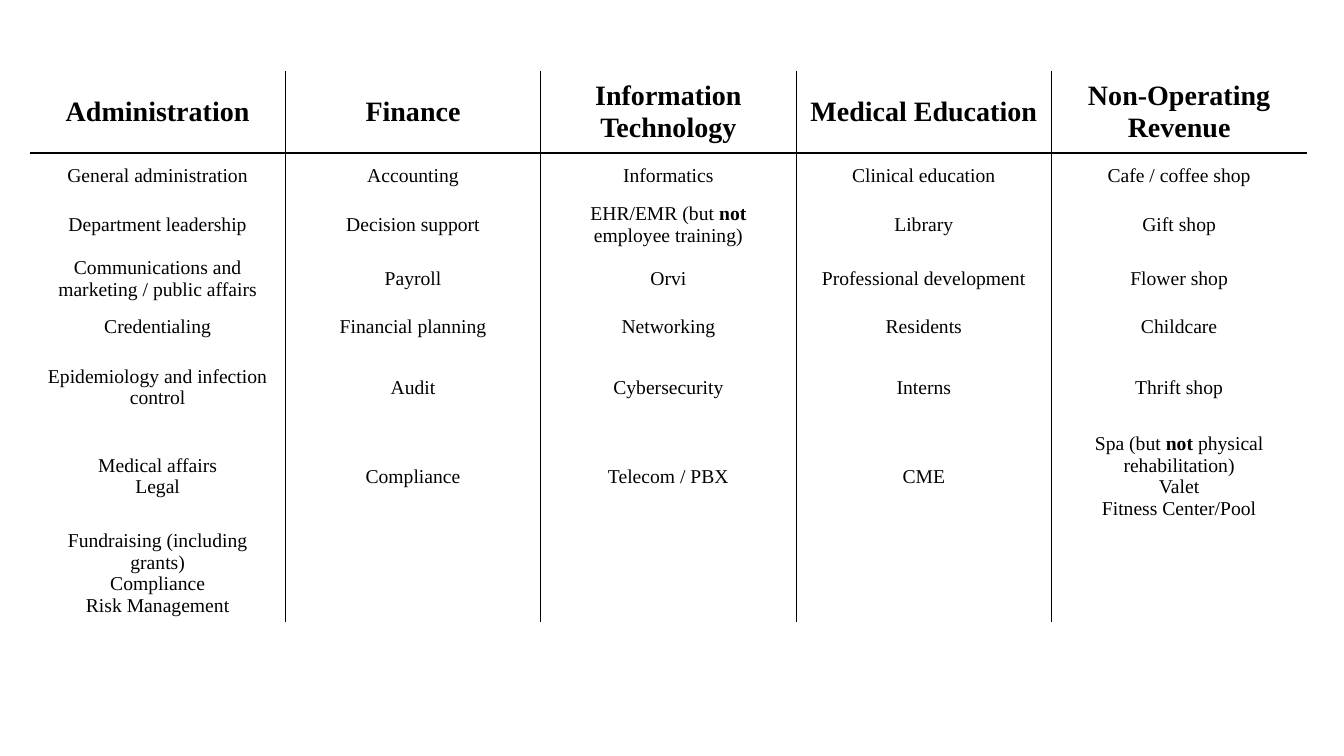
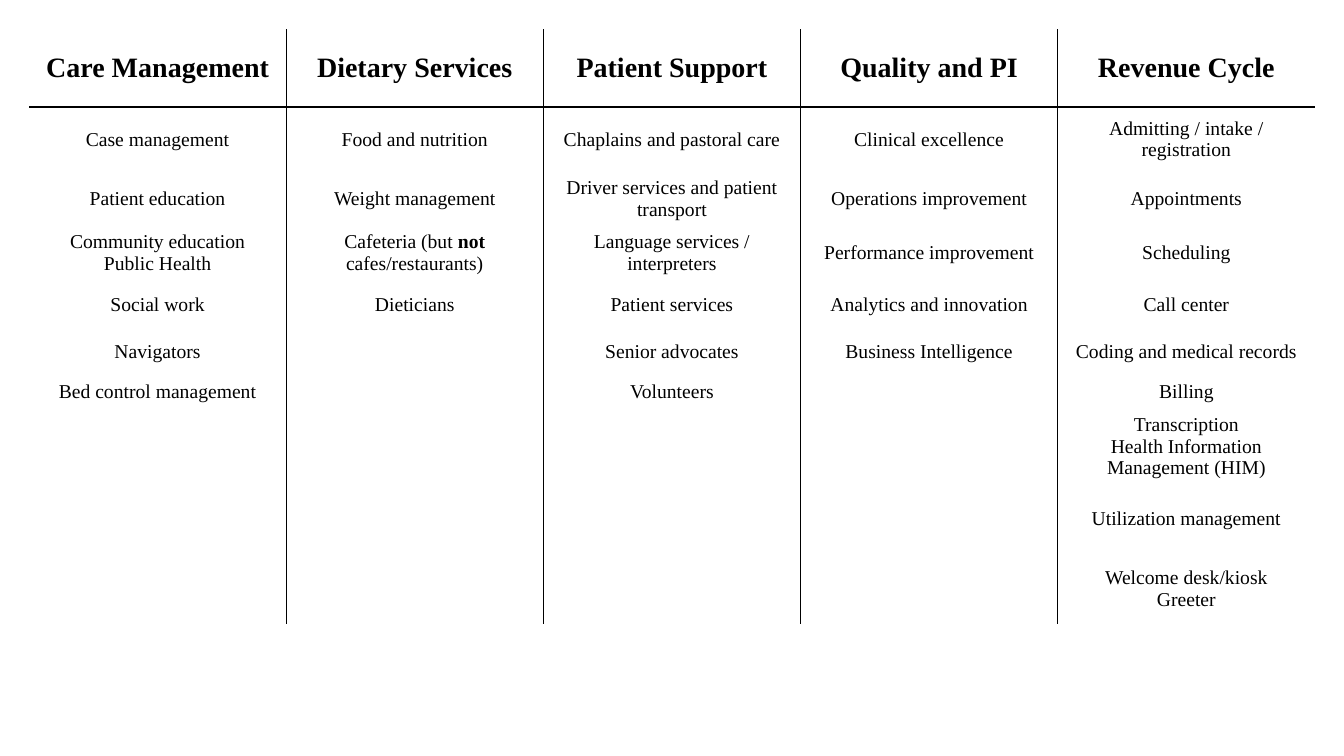
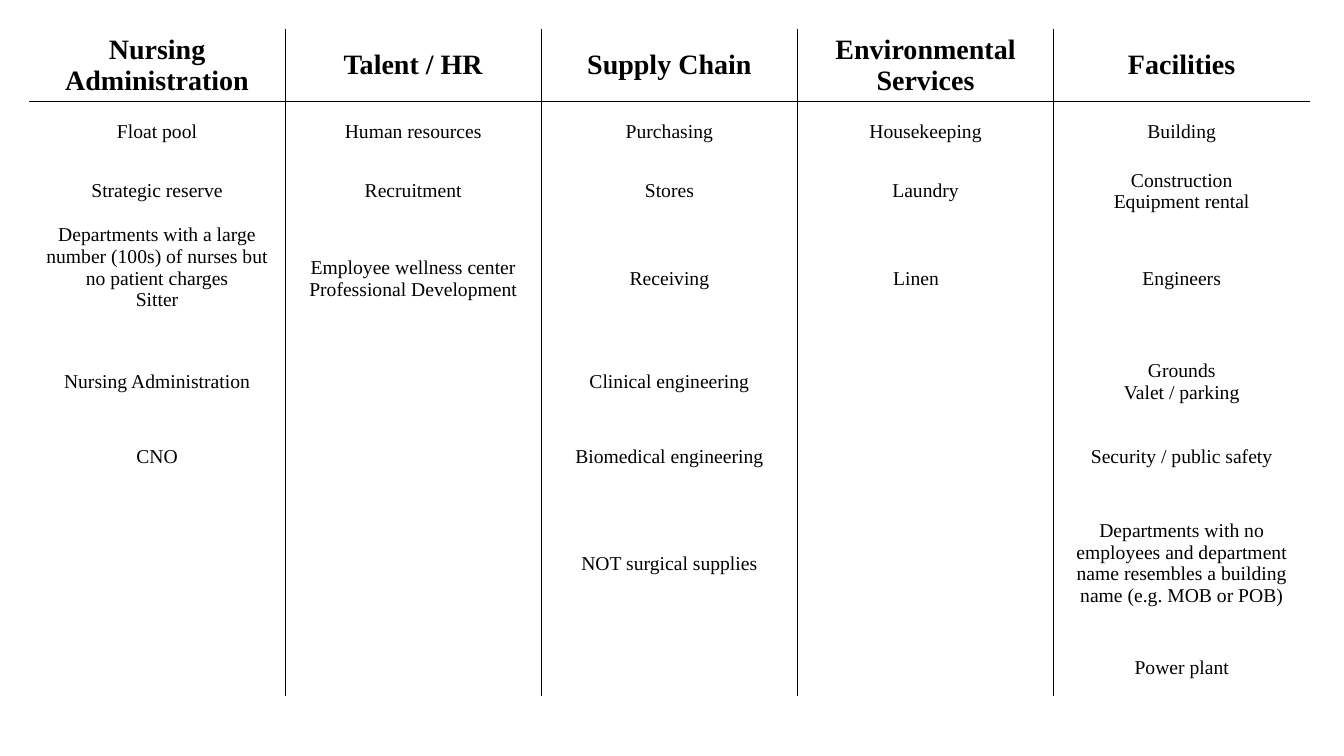
from dataclasses import dataclass
from itertools import zip_longest

from pptx import Presentation
from pptx.dml.color import RGBColor
from pptx.enum.text import MSO_ANCHOR, PP_ALIGN
from pptx.oxml.xmlchemy import OxmlElement
from pptx.util import Emu, Pt

SLIDE_SIZE = (1344, 756)
BLANK_LAYOUT = 6
NO_GRID_STYLE = "{2D5ABB26-0587-4C30-8999-92F81FD0307C}"


@dataclass(frozen=True)
class Theme:
    font: str = "Times New Roman"
    ink: str = "000000"
    heading_size: int = 20
    body_size: int = 14
    rule_width: int = 1


THEME = Theme()

# Columns map a heading to its entries; **...** marks bold, a newline starts a paragraph.
# Insets are extra cell margins in px, keyed by (row, column).
TABLES = [
    {
        "left": 30, "top": 71, "width": 1277,
        "row_heights": [82, 45, 54, 54, 41, 81, 97, 97],
        "columns": {
            "Administration": [
                "General administration", "Department leadership",
                "Communications and marketing / public affairs", "Credentialing",
                "Epidemiology and infection control", "Medical affairs\nLegal",
                "Fundraising (including grants)\nCompliance\nRisk Management",
            ],
            "Finance": [
                "Accounting", "Decision support", "Payroll", "Financial planning",
                "Audit", "Compliance",
            ],
            "Information Technology": [
                "Informatics", "EHR/EMR (but **not** employee training)", "Orvi",
                "Networking", "Cybersecurity", "Telecom / PBX",
            ],
            "Medical Education": [
                "Clinical education", "Library", "Professional development",
                "Residents", "Interns", "CME",
            ],
            "Non-Operating Revenue": [
                "Cafe / coffee shop", "Gift shop", "Flower shop", "Childcare", "Thrift shop",
                "Spa (but **not** physical rehabilitation)\nValet\nFitness Center/Pool",
            ],
        },
        "insets": {},
    },
    {
        "left": 29, "top": 29, "width": 1286,
        "row_heights": [78, 65, 54, 54, 50, 45, 32, 75, 70, 70],
        "columns": {
            "Care Management": [
                "Case management", "Patient education", "Community education\nPublic Health",
                "Social work", "Navigators", "Bed control management",
            ],
            "Dietary Services": [
                "Food and nutrition", "Weight management",
                "Cafeteria (but **not** cafes/restaurants)", "Dieticians",
            ],
            "Patient Support": [
                "Chaplains and pastoral care", "Driver services and patient transport",
                "Language services / interpreters", "Patient services",
                "Senior advocates", "Volunteers",
            ],
            "Quality and PI": [
                "Clinical excellence", "Operations improvement", "Performance improvement",
                "Analytics and innovation", "Business Intelligence",
            ],
            "Revenue Cycle": [
                "Admitting / intake / registration", "Appointments", "Scheduling",
                "Call center", "Coding and medical records", "Billing",
                "Transcription\nHealth Information Management (HIM)",
                "Utilization management", "Welcome desk/kiosk\nGreeter",
            ],
        },
        "insets": {},
    },
    {
        "left": 29, "top": 29, "width": 1281,
        "row_heights": [72, 62, 56, 118, 88, 61, 153, 56],
        "columns": {
            "Nursing Administration": [
                "Float pool", "Strategic reserve",
                "Departments with a large number (100s) of nurses but no patient charges\nSitter",
                "Nursing Administration", "CNO",
            ],
            "Talent / HR": [
                "Human resources", "Recruitment",
                "Employee wellness center\nProfessional Development",
            ],
            "Supply Chain": [
                "Purchasing", "Stores", "Receiving", "Clinical engineering",
                "Biomedical engineering", "NOT surgical supplies",
            ],
            "Environmental Services": ["Housekeeping", "Laundry", "Linen"],
            "Facilities": [
                "Building", "Construction\nEquipment rental", "Engineers",
                "Grounds\nValet / parking", "Security / public safety",
                "Departments with no employees and department name resembles"
                " a building name (e.g. MOB or POB)",
                "Power plant",
            ],
        },
        "insets": {(3, 0): {"bottom": 22}, (3, 3): {"right": 19}},
    },
]


def px(length):
    return Emu(round(length * 914400 / 100.8))


def write_cell(cell, text, size, bold):
    cell.vertical_anchor = MSO_ANCHOR.MIDDLE
    cell.text = text.replace("**", "")
    for paragraph, line in zip(cell.text_frame.paragraphs, text.split("\n")):
        paragraph.alignment = PP_ALIGN.CENTER
        paragraph.text = ""
        for index, part in enumerate(line.split("**")):
            if not part:
                continue
            run = paragraph.add_run()
            run.text = part
            run.font.name = THEME.font
            run.font.size = Pt(size)
            run.font.bold = bold or index % 2 == 1
            run.font.color.rgb = RGBColor.from_string(THEME.ink)
        if not line:  # keeps an empty cell from stretching its row
            paragraph._p.get_or_add_endParaRPr().set("sz", str(size * 100))


def set_borders(cell, ruled):
    """Draw a rule on each side whose flag in ruled is true, and clear the others."""
    properties = cell._tc.get_or_add_tcPr()
    for index, (side, visible) in enumerate(ruled.items()):
        line = OxmlElement(f"a:ln{side}")
        line.set("w", str(Pt(THEME.rule_width)))
        fill = OxmlElement("a:solidFill" if visible else "a:noFill")
        if visible:
            color = OxmlElement("a:srgbClr")
            color.set("val", THEME.ink)
            fill.append(color)
        line.append(fill)
        properties.insert(index, line)


def add_department_table(slide, content):
    columns, heights = content["columns"], content["row_heights"]
    rows = [tuple(columns), *zip_longest(*columns.values(), fillvalue="")]
    frame = slide.shapes.add_table(
        len(rows), len(columns), px(content["left"]), px(content["top"]),
        px(content["width"]), px(sum(heights)))
    table = frame.table
    table.first_row = table.horz_banding = False
    table._tbl.tblPr.find("{*}tableStyleId").text = NO_GRID_STYLE
    for column in table.columns:
        column.width = px(content["width"] / len(columns))

    last_column = len(columns) - 1
    for row_index, (texts, height) in enumerate(zip(rows, heights)):
        table.rows[row_index].height = px(height)
        heading = row_index == 0
        size = THEME.heading_size if heading else THEME.body_size
        for column_index, text in enumerate(texts):
            cell = table.cell(row_index, column_index)
            write_cell(cell, text, size, heading)
            cell.fill.background()
            set_borders(cell, {"L": column_index > 0, "R": column_index < last_column,
                               "T": row_index == 1, "B": heading})
            inset = content["insets"].get((row_index, column_index), {})
            cell.margin_right += px(inset.get("right", 0))
            cell.margin_bottom += px(inset.get("bottom", 0))


def main():
    presentation = Presentation()
    presentation.slide_width, presentation.slide_height = map(px, SLIDE_SIZE)
    for content in TABLES:
        slide = presentation.slides.add_slide(presentation.slide_layouts[BLANK_LAYOUT])
        add_department_table(slide, content)
    presentation.save("out.pptx")


if __name__ == "__main__":
    main()
